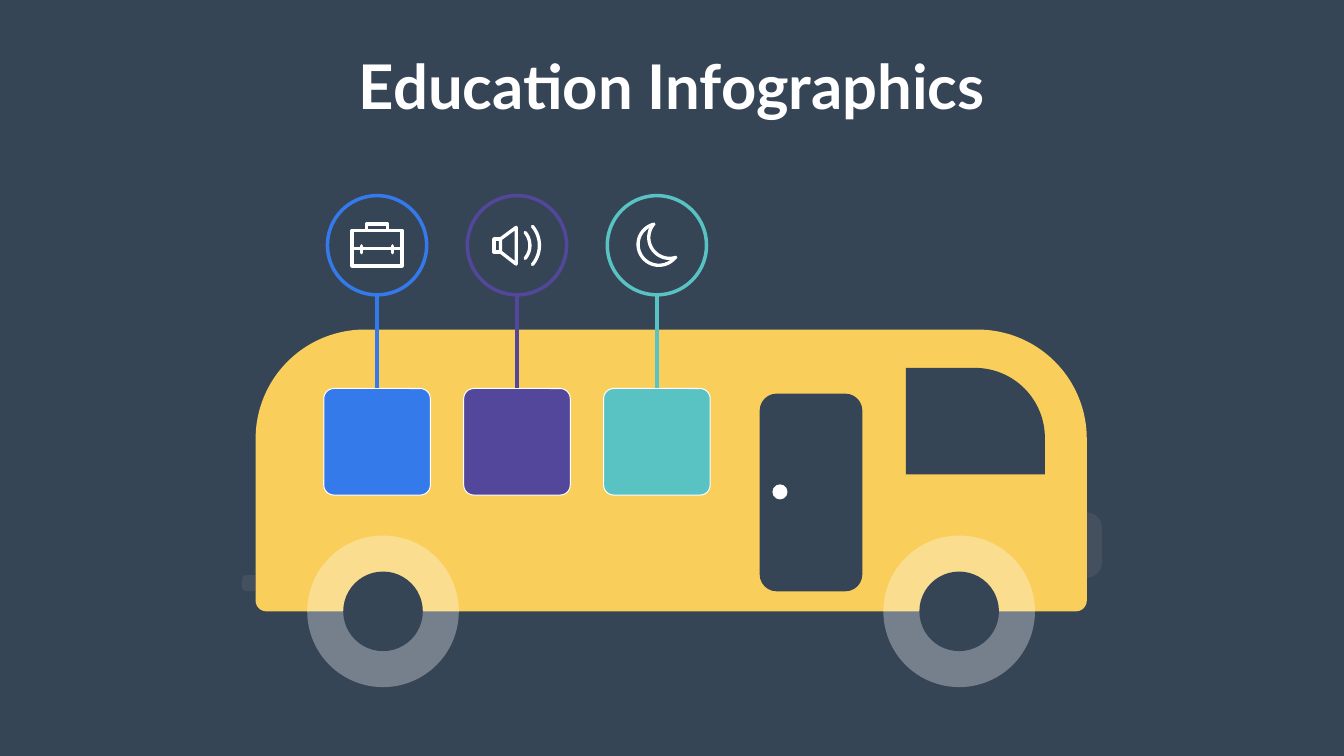
from math import cos, radians, sin

from lxml.etree import SubElement
from pptx import Presentation
from pptx.dml.color import RGBColor
from pptx.enum.shapes import MSO_CONNECTOR as LINE, MSO_SHAPE as SHAPE
from pptx.enum.text import MSO_AUTO_SIZE as FIT, PP_ALIGN as ALIGN
from pptx.oxml.ns import qn
from pptx.util import Cm, Pt

NAVY, YELLOW, WHITE, GRAY = "364556", "F9CE5B", "FFFFFF", "808080"
BLUE, PURPLE, TEAL = "347AEB", "52479B", "58C3C2"


def rgb(color):
    return RGBColor.from_string(color)


def style(s, fill=None, line=None, width=0, alpha=None):
    s.shadow.inherit = False
    if fill:
        s.fill.solid()
        s.fill.fore_color.rgb = rgb(fill)
        if alpha:
            clr = s._element.spPr.find(qn("a:solidFill")).find(qn("a:srgbClr"))
            SubElement(clr, qn("a:alpha")).set("val", str(alpha * 1000))
    else:
        s.fill.background()
    if line:
        s.line.color.rgb = rgb(line)
        s.line.width = Pt(width)
    else:
        s.line.fill.background()


def add_box(shapes, kind, x, y, w, h, radii=(), **look):
    """Add a preset shape; radii are its corner radii in cm."""
    s = shapes.add_shape(kind, Cm(x), Cm(y), Cm(w), Cm(h))
    for i, radius in enumerate(radii):
        s.adjustments[i] = radius / min(w, h)
    style(s, **look)
    return s


def add_circle(shapes, cx, cy, d, **look):
    return add_box(shapes, SHAPE.OVAL, cx - d / 2, cy - d / 2, d, d, **look)


def add_outline(shapes, points, close=True, **look):
    pts = [(Cm(x), Cm(y)) for x, y in points]
    builder = shapes.build_freeform(*pts[0])
    builder.add_line_segments(pts[1:], close=close)
    s = builder.convert_to_shape()
    style(s, **look)
    return s


def arc(cx, cy, r, start, end, steps=30):
    """Points on a circle; angles in degrees, clockwise from the right."""
    angles = [radians(start + (end - start) * i / steps) for i in range(steps + 1)]
    return [(cx + r * cos(a), cy + r * sin(a)) for a in angles]


def add_panel(shapes, x, y, w, h, radii, **look):
    """Rectangle with its own radius per corner, clockwise from top left."""
    points = []
    for i, r in enumerate(radii):
        cx = x + w - r if i in (1, 2) else x + r
        cy = y + h - r if i in (2, 3) else y + r
        points += arc(cx, cy, r, 180 + 90 * i, 270 + 90 * i) if r else [(cx, cy)]
    add_outline(shapes, points, **look)


def briefcase():
    return [
        ([(-1.26, -0.74), (1.26, -0.74), (1.26, 1.04), (-1.26, 1.04)], True),
        ([(-0.53, -0.74), (-0.53, -1.07), (0.53, -1.07), (0.53, -0.74)], False),
        ([(-1.26, 0.15), (1.26, 0.15)], False),
        ([(-0.78, 0.03), (-0.78, 0.38)], False),
        ([(0.78, 0.03), (0.78, 0.38)], False),
    ]


def speaker():
    return [
        ([(-1.16, -0.32), (-0.83, -0.32), (-0.83, 0.34), (-1.16, 0.34)], True),
        ([(-0.83, -0.32), (-0.04, -0.9), (-0.04, 0.95), (-0.83, 0.34)], True),
    ] + [(arc(-0.37, 0.01, r, -40, 40), False) for r in (1.02, 1.5)]


def moon():
    return [(arc(0.1, -0.04, 1.05, 256, 38) + arc(0.64, -0.39, 1.05, 73, 220), True)]


def add_icon(shapes, strokes, cx, cy):
    group = shapes.add_group_shape()
    for points, close in strokes:
        moved = [(cx + x, cy + y) for x, y in points]
        s = add_outline(group.shapes, moved, close, line=WHITE, width=4.75)
        ln = s._element.spPr.find(qn("a:ln"))
        ln.set("cap", "rnd")
        SubElement(ln, qn("a:round"))


def add_title(shapes, text):
    s = shapes.add_textbox(Cm(17.48), Cm(2.31), Cm(32.74), Cm(4.01))
    tf = s.text_frame
    tf.word_wrap = False
    tf.auto_size = FIT.SHAPE_TO_FIT_TEXT
    p = tf.paragraphs[0]
    p.alignment = ALIGN.CENTER
    r = p.add_run()
    r.text = text
    r.font.color.rgb = rgb(WHITE)
    for name, value in {"name": "Lato", "size": Pt(88), "bold": True}.items():
        setattr(r.font, name, value)


def add_bus(shapes):
    add_box(shapes, SHAPE.ROUND_2_SAME_RECTANGLE, 12.88, 16.61, 41.88, 14.2,
            (5.5, 0.54), fill=YELLOW)
    add_box(shapes, SHAPE.ROUNDED_RECTANGLE, 38.28, 19.84, 5.17, 9.96,
            (0.85,), fill=NAVY)
    add_circle(shapes, 39.3, 24.79, 0.76, fill=WHITE)
    add_panel(shapes, 45.64, 18.54, 7.01, 5.37, (0, 3.53, 0, 0), fill=NAVY)
    add_panel(shapes, 54.76, 25.83, 0.76, 3.28, (0, 0.75, 0.75, 0), fill=GRAY, alpha=20)
    add_panel(shapes, 12.19, 28.98, 0.69, 0.81, (0.23, 0, 0, 0.23), fill=GRAY, alpha=20)
    for cx in (19.3, 48.33):
        add_circle(shapes, cx, 30.81, 7.64, fill=WHITE, alpha=32)
        add_circle(shapes, cx, 30.81, 4.01, fill=NAVY)


def add_window(shapes, cx, color, strokes):
    """Window with a stem up to its icon circle."""
    size, top, cy, d = 5.37, 19.58, 12.36, 5
    window = add_box(shapes, SHAPE.ROUNDED_RECTANGLE, cx - size / 2, top, size, size,
                     (0.51,), fill=color, line=WHITE, width=1.45)
    add_circle(shapes, cx, cy, d, line=color, width=5)
    stem = shapes.add_connector(LINE.STRAIGHT, Cm(cx), Cm(top), Cm(cx), Cm(cy + d / 2))
    stem.begin_connect(window, 0)
    stem.line.color.rgb = rgb(color)
    stem.line.width = Pt(5)
    SubElement(stem._element.spPr, qn("a:effectLst"))
    add_icon(shapes, strokes, cx, cy)


def main():
    prs = Presentation()
    prs.slide_width, prs.slide_height = Cm(67.72), Cm(38.1)
    slide = prs.slides.add_slide(prs.slide_layouts[6])
    slide.background.fill.solid()
    slide.background.fill.fore_color.rgb = rgb(NAVY)
    add_title(slide.shapes, "Education Infographics")
    add_bus(slide.shapes)
    windows = [(BLUE, briefcase()), (PURPLE, speaker()), (TEAL, moon())]
    for i, (color, strokes) in enumerate(windows):
        add_window(slide.shapes, 19 + 7.05 * i, color, strokes)
    prs.save("out.pptx")


if __name__ == "__main__":
    main()
